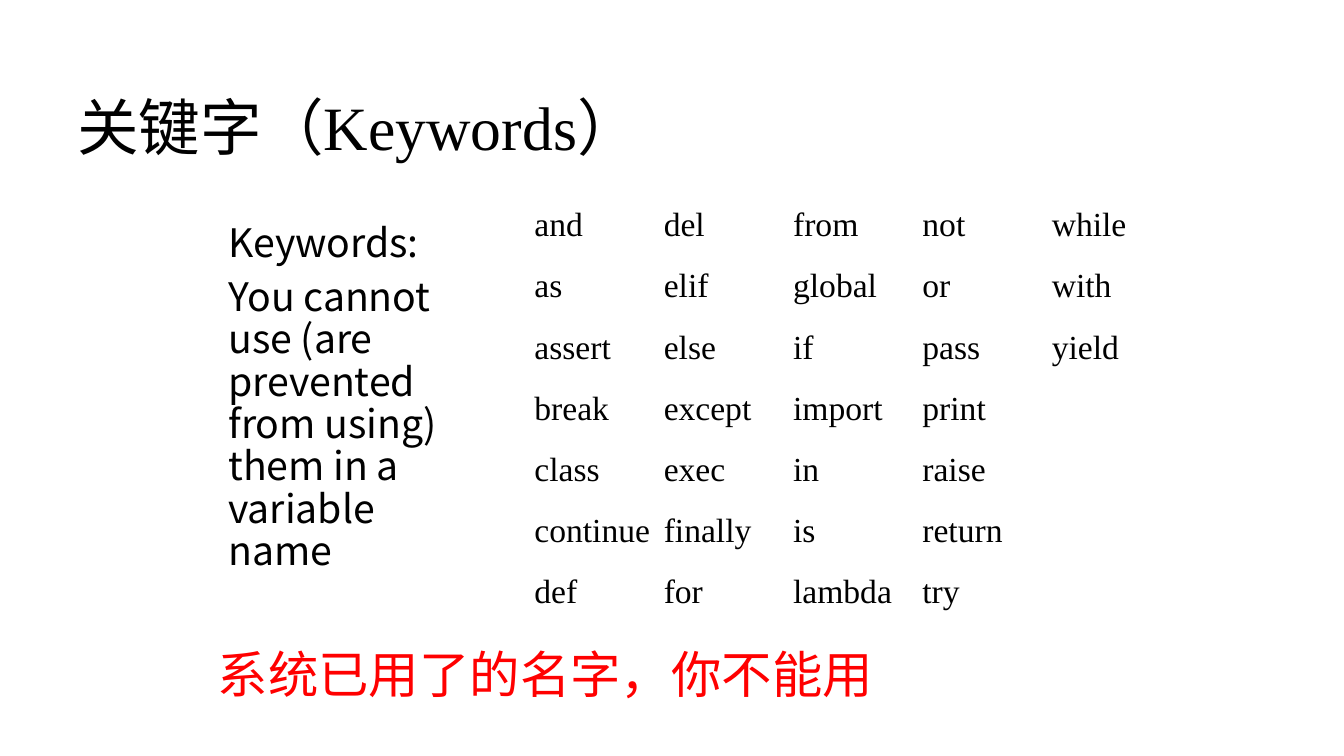
from lxml import etree
from pptx import Presentation
from pptx.dml.color import RGBColor
from pptx.enum.text import MSO_ANCHOR, PP_ALIGN
from pptx.oxml.ns import qn
from pptx.util import Pt

PX = 9525
LEFT = PP_ALIGN.LEFT
MIDDLE = MSO_ANCHOR.MIDDLE
TOP = MSO_ANCHOR.TOP
BLACK = RGBColor(0, 0, 0)
RED = RGBColor(255, 0, 0)
SERIF = "Times New Roman"
SANS = "Noto Sans CJK SC"
BONUM = "TeX Gyre Bonum"

RULE = [
    "Keywords:",
    "You cannot use (are prevented from using) them in a variable name",
]
KEYWORDS = [
    ["and", "as", "assert", "break", "class", "continue", "def"],
    ["del", "elif", "else", "except", "exec", "finally", "for"],
    ["from", "global", "if", "import", "in", "is", "lambda"],
    ["not", "or", "pass", "print", "raise", "return", "try"],
    ["while", "with", "yield"],
]


def px(*lengths):
    """Turn pixel lengths into EMU."""
    return [length * PX for length in lengths]


def write(p, text, size, font, color=BLACK, before=0, spacing=None):
    """Write one formatted run into a paragraph."""
    p.alignment = LEFT
    p.space_before = Pt(before)
    if spacing:
        p.line_spacing = spacing
    r = p.add_run()
    r.text = text
    r.font.size = Pt(size)
    r.font.name = font
    r.font.color.rgb = color
    ea = etree.SubElement(r.font._element, qn("a:ea"))
    ea.set("typeface", SANS)


def add_title(s, box):
    """Place the slide title."""
    title = s.shapes.title
    title.left, title.top, title.width, title.height = px(*box)
    tf = title.text_frame
    tf.vertical_anchor = MIDDLE
    write(tf.paragraphs[0], "关键字（Keywords）", 44, SERIF)


def add_rule(s, box):
    """Place the rule about keywords."""
    tf = s.shapes.add_textbox(*px(*box)).text_frame
    tf.word_wrap = True
    for i, text in enumerate(RULE):
        p = tf.add_paragraph() if i else tf.paragraphs[0]
        write(p, text, 28, SANS, before=8.4, spacing=0.9)


def add_keywords(s, box):
    """Place the table of keywords, filled column by column."""
    rows, cols = len(KEYWORDS[0]), len(KEYWORDS)
    table = s.shapes.add_table(rows, cols, *px(*box)).table
    table.first_row = False
    table.horz_banding = False
    for col, words in enumerate(KEYWORDS):
        for row in range(rows):
            cell = table.cell(row, col)
            cell.fill.background()
            cell.vertical_anchor = TOP
            cell.margin_left = cell.margin_right = 5 * PX
            cell.margin_top = cell.margin_bottom = 5 * PX
            if row < len(words):
                write(cell.text_frame.paragraphs[0], words[row], 24, SERIF, before=4.8)


def add_warning(s, box):
    """Place the red warning line."""
    tf = s.shapes.add_textbox(*px(*box)).text_frame
    tf.word_wrap = False
    write(tf.paragraphs[0], "系统已用了的名字，你不能用", 36, BONUM, color=RED)


def main():
    """Build and save the slide."""
    prs = Presentation()
    prs.slide_width, prs.slide_height = px(1280, 720)
    s = prs.slides.add_slide(prs.slide_layouts[5])
    add_title(s, (64, 48, 1152, 144))
    add_rule(s, (208, 208, 264, 408))
    add_keywords(s, (504, 192, 616, 408))
    add_warning(s, (198, 608, 650, 68))
    prs.save("out.pptx")


if __name__ == "__main__":
    main()
